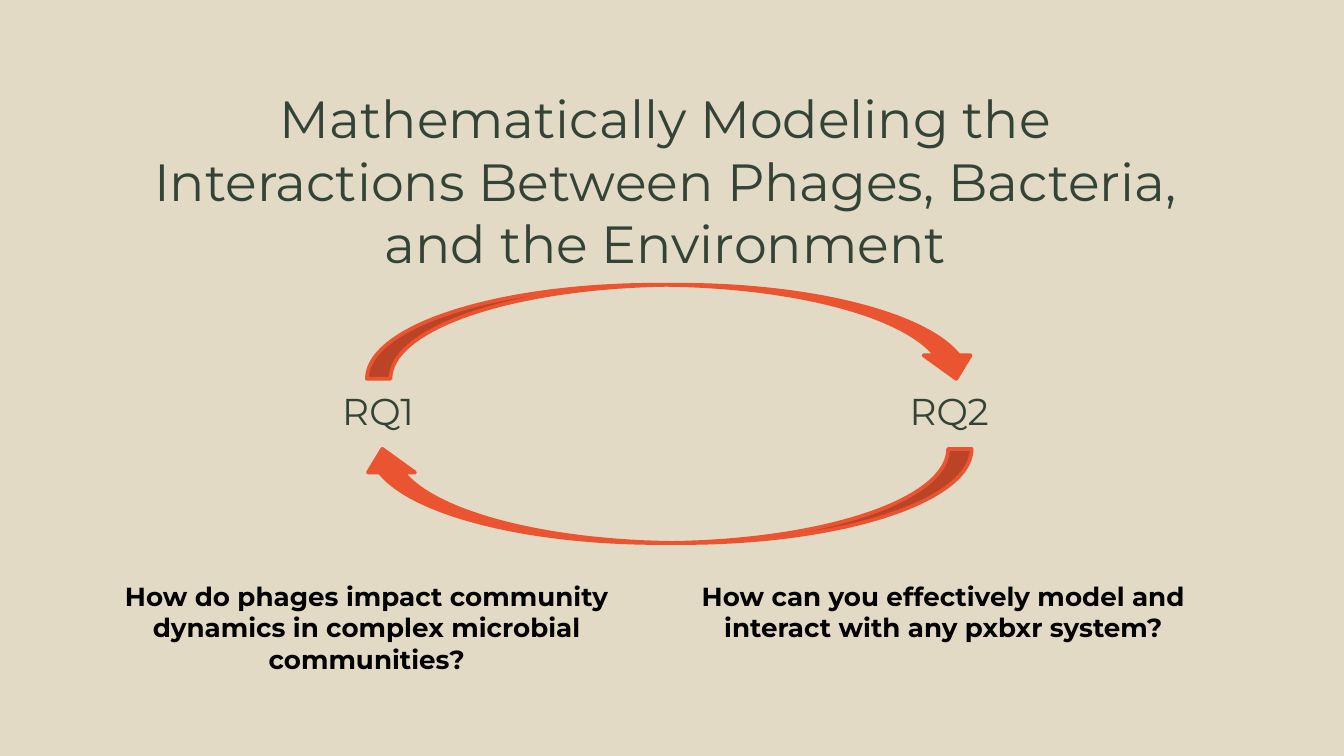
from typing import NamedTuple

from pptx import Presentation
from pptx.dml.color import RGBColor
from pptx.enum.shapes import MSO_SHAPE
from pptx.enum.text import MSO_ANCHOR, PP_ALIGN
from pptx.slide import Slide
from pptx.util import Pt

SAND = RGBColor(0xE3, 0xDA, 0xC5)
GREEN = RGBColor(0x33, 0x44, 0x36)
RED = RGBColor(0xEA, 0x54, 0x30)
BLACK = RGBColor(0, 0, 0)
FONT = "Montserrat"


class Box(NamedTuple):
    left: float
    top: float
    width: float
    height: float


class Topic(NamedTuple):
    label: str
    label_left: float
    query: str
    query_left: float


class Arrow(NamedTuple):
    box: Box
    turn: float


TITLE = "Mathematically Modeling the\nInteractions Between Phages, Bacteria,\nand the Environment"
TOPICS = [
    Topic("RQ1", 87, "How do phages impact community dynamics in complex microbial communities?", 55.4),
    Topic("RQ2", 393, "How can you effectively model and interact with any pxbxr system?", 364.3),
]
ARROWS = [
    Arrow(Box(196.6, 152.6, 328.3, 50.4), 0),
    Arrow(Box(192.2, 240.5, 328.3, 50.4), 180),
]


def add_text(slide: Slide, text: str, box: Box, *, size: float,
             color: RGBColor = GREEN, bold: bool = False,
             anchor: MSO_ANCHOR = MSO_ANCHOR.TOP) -> None:
    """Add a centred text box in the given format."""
    frame = slide.shapes.add_textbox(*map(Pt, box)).text_frame
    frame.word_wrap = True
    frame.vertical_anchor = anchor
    frame.margin_left = frame.margin_right = Pt(7.2)
    frame.margin_top = frame.margin_bottom = Pt(7.2)
    para = frame.paragraphs[0]
    para.text = text
    para.alignment = PP_ALIGN.CENTER
    for run in para.runs:
        run.font.name = FONT
        run.font.size = Pt(size)
        run.font.bold = bold
        run.font.color.rgb = color


def add_arrow(slide: Slide, arrow: Arrow) -> None:
    """Add one curved arrow of the cycle."""
    shape = slide.shapes.add_shape(MSO_SHAPE.CURVED_DOWN_ARROW, *map(Pt, arrow.box))
    shape.rotation = arrow.turn
    shape.shadow.inherit = False
    shape.fill.solid()
    shape.fill.fore_color.rgb = RED
    shape.line.color.rgb = RED
    shape.line.width = Pt(2)


def main() -> None:
    """Build the slide and save it."""
    deck = Presentation()
    deck.slide_width, deck.slide_height = Pt(720), Pt(405)
    slide = deck.slides.add_slide(deck.slide_layouts[6])
    slide.background.fill.solid()
    slide.background.fill.fore_color.rgb = SAND
    add_text(slide, TITLE, Box(-3.6, 38.9, 720, 76.3), size=28)
    for topic in TOPICS:
        add_text(slide, topic.label, Box(topic.label_left, 207.4, 231, 31.7),
                 size=20, anchor=MSO_ANCHOR.BOTTOM)
        add_text(slide, topic.query, Box(topic.query_left, 303.8, 282.2, 50.4),
                 size=14, color=BLACK, bold=True)
    for arrow in ARROWS:
        add_arrow(slide, arrow)
    deck.save("out.pptx")


if __name__ == "__main__":
    main()
